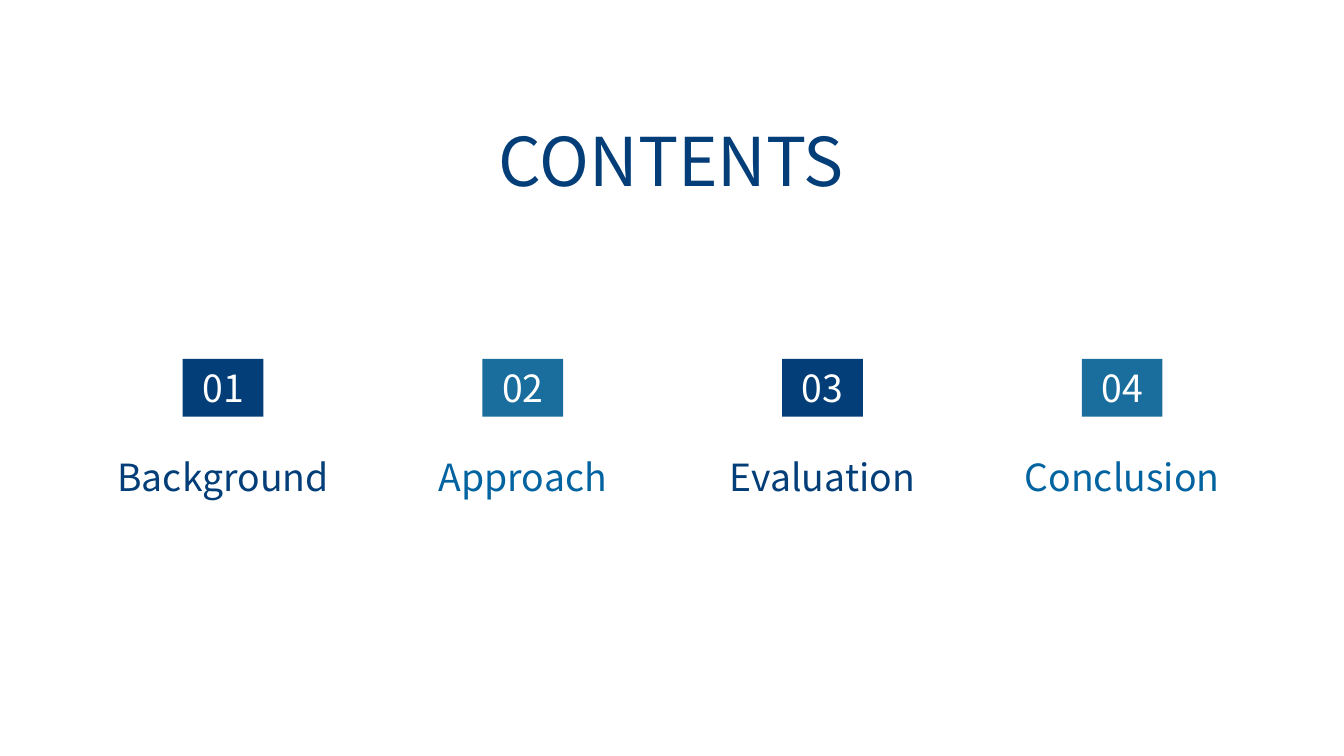
from dataclasses import dataclass

from pptx import Presentation
from pptx.dml.color import RGBColor
from pptx.enum.shapes import MSO_SHAPE
from pptx.enum.text import MSO_ANCHOR, MSO_AUTO_SIZE, PP_ALIGN
from pptx.util import Inches, Pt

RECTANGLE = MSO_SHAPE.RECTANGLE
MIDDLE = MSO_ANCHOR.MIDDLE
GROW = MSO_AUTO_SIZE.SHAPE_TO_FIT_TEXT
CENTER = PP_ALIGN.CENTER


@dataclass(frozen=True)
class Theme:
    font: str = "Noto Sans CJK SC"
    navy: str = "033E78"
    teal: str = "1A6E9D"
    blue: str = "0263A1"
    white: str = "FFFFFF"
    title_size: int = 36
    item_size: int = 20


THEME = Theme()
SECTIONS = ["Background", "Approach", "Evaluation", "Conclusion"]

# Widescreen page and column grid, in inches
PAGE_WIDTH = 10
PAGE_HEIGHT = PAGE_WIDTH * 9 / 16
FIRST_CENTER = 1.66
COLUMN_STEP = 2.23
BADGE_TOP, BADGE_WIDTH, BADGE_HEIGHT = 2.67, 0.6, 0.43
LABEL_TOP, LABEL_WIDTH, LABEL_HEIGHT = 3.33, 1.81, 0.44


def write_text(frame, text, size, color):
    para = frame.paragraphs[0]
    para.alignment = CENTER
    span = para.add_run()
    span.text = text
    span.font.name = THEME.font
    span.font.size = Pt(size)
    span.font.color.rgb = RGBColor.from_string(color)


def add_text(page, left, top, width, height, text, size, color, wrap=True):
    box = page.shapes.add_textbox(
        Inches(left), Inches(top), Inches(width), Inches(height))
    box.text_frame.word_wrap = wrap
    box.text_frame.auto_size = GROW
    write_text(box.text_frame, text, size, color)


def add_badge(page, center, number, fill):
    badge = page.shapes.add_shape(
        RECTANGLE, Inches(center - BADGE_WIDTH / 2), Inches(BADGE_TOP),
        Inches(BADGE_WIDTH), Inches(BADGE_HEIGHT))
    badge.shadow.inherit = False
    badge.fill.solid()
    badge.fill.fore_color.rgb = RGBColor.from_string(fill)
    badge.line.fill.background()
    badge.text_frame.word_wrap = False
    badge.text_frame.vertical_anchor = MIDDLE
    write_text(badge.text_frame, f"{number:02d}", THEME.item_size, THEME.white)


def add_section(page, index, name):
    center = FIRST_CENTER + index * COLUMN_STEP
    # Colours alternate from column to column
    if index % 2 == 0:
        fill, color = THEME.navy, THEME.navy
    else:
        fill, color = THEME.teal, THEME.blue
    add_badge(page, center, index + 1, fill)
    add_text(page, center - LABEL_WIDTH / 2, LABEL_TOP, LABEL_WIDTH,
             LABEL_HEIGHT, name, THEME.item_size, color)


def main():
    deck = Presentation()
    deck.slide_width = Inches(PAGE_WIDTH)
    deck.slide_height = Inches(PAGE_HEIGHT)
    page = deck.slides.add_slide(deck.slide_layouts[6])

    # Background
    page.background.fill.solid()
    page.background.fill.fore_color.rgb = RGBColor.from_string(THEME.white)

    # Title
    add_text(page, 3.54, 0.84, 2.91, 0.71, "CONTENTS",
             THEME.title_size, THEME.navy, wrap=False)

    # Numbered sections
    for index, name in enumerate(SECTIONS):
        add_section(page, index, name)

    deck.save("out.pptx")


if __name__ == "__main__":
    main()
